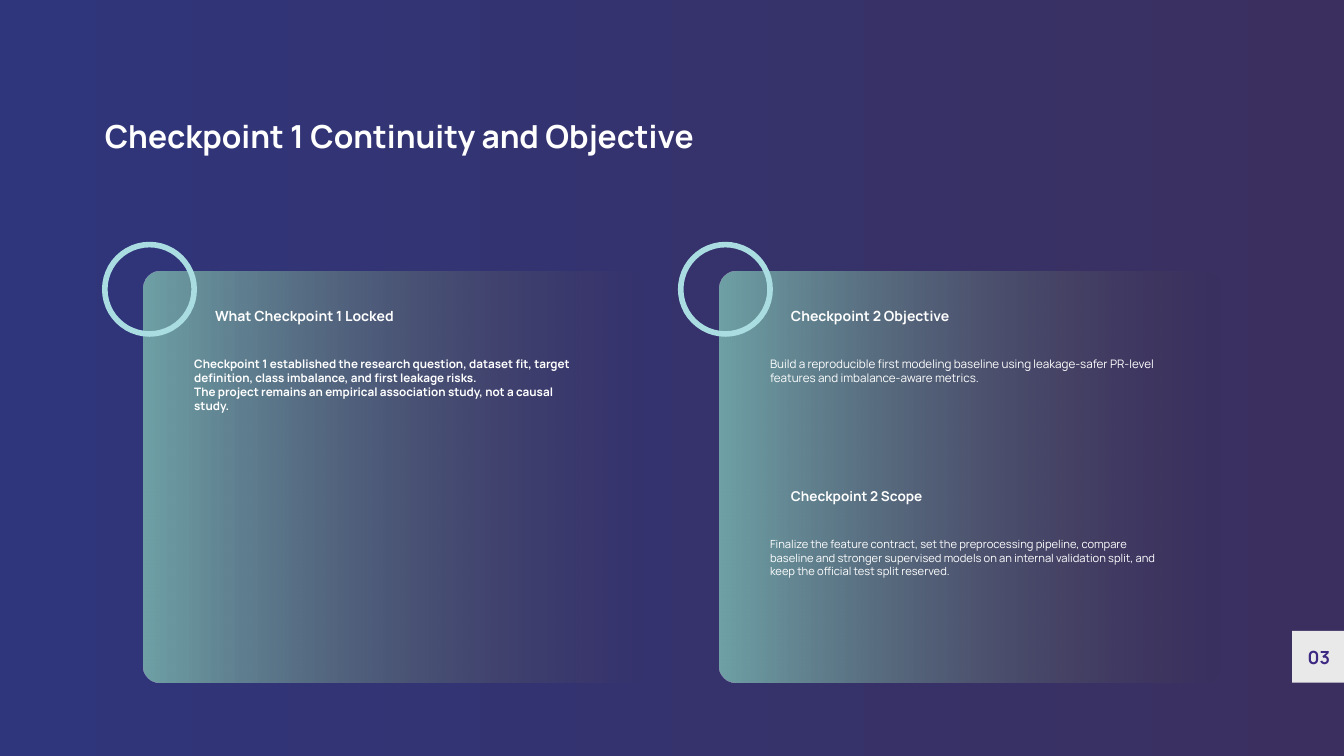
from pptx import Presentation
from pptx.dml.color import RGBColor
from pptx.enum import shapes, text
from pptx.oxml.ns import qn
from pptx.util import Inches, Pt
from lxml import etree

FONT = "Manrope"
WHITE, RING, TAG, INK = "FFFFFF", "A9DDE2", "E9E9E9", "3D2882"
BACK = ("2F367C", "3B2F5F")
CARD = ("6FA1A6", "5B534F")

# Content: each card holds sections of
# (top, heading, heading size, body size, body bold, body height, paragraphs)
TITLE = "Checkpoint 1 Continuity and Objective"
PAGE = "03"
CARDS = [
    [(4.57, "What Checkpoint 1 Locked", 15, 12.5, True, 4.36, [
        "Checkpoint 1 established the research question, dataset fit, target "
        "definition, class imbalance, and first leakage risks.",
        "The project remains an empirical association study, not a causal study.",
    ])],
    [(4.57, "Checkpoint 2 Objective", 15, 12.5, False, 1.61, [
        "Build a reproducible first modeling baseline using leakage-safer "
        "PR-level features and imbalance-aware metrics.",
    ]),
     (7.26, "Checkpoint 2 Scope", 14.5, 12, False, 1.61, [
         "Finalize the feature contract, set the preprocessing pipeline, compare "
         "baseline and stronger supervised models on an internal validation "
         "split, and keep the official test split reserved.",
     ])],
]
LEFT, STEP = 1.56, 8.57  # first ring's left edge, distance between cards


def rgb(code):
    return RGBColor.from_string(code)


def blend(fill, codes):
    fill.gradient()
    fill.gradient_angle = 0
    for stop, code, place in zip(fill.gradient_stops, codes, (0, 1)):
        stop.color.rgb = rgb(code)
        stop.position = place


def write(box, lines, size, color=WHITE, bold=True, pitch=None):
    frame = box.text_frame
    frame.word_wrap = True
    frame.auto_size = text.MSO_AUTO_SIZE.NONE
    frame.vertical_anchor = text.MSO_ANCHOR.TOP
    frame.margin_left = frame.margin_right = 0
    frame.margin_top = frame.margin_bottom = 0
    for i, line in enumerate(lines):
        para = frame.add_paragraph() if i else frame.paragraphs[0]
        para.alignment = text.PP_ALIGN.LEFT
        if pitch:
            para.line_spacing = Pt(pitch)
        run = para.add_run()
        run.text = line
        run.font.name, run.font.size, run.font.bold = FONT, Pt(size), bold
        run.font.color.rgb = rgb(color)


def label(slide, x, y, w, h, lines, size, **style):
    box = slide.shapes.add_textbox(Inches(x), Inches(y), Inches(w), Inches(h))
    write(box, lines, size, **style)


def shape(slide, kind, x, y, w, h):
    item = slide.shapes.add_shape(kind, Inches(x), Inches(y), Inches(w), Inches(h))
    item.shadow.inherit = False
    item.line.fill.background()
    return item


def card(slide, x, parts):
    # Panel fading out to the right
    panel = shape(slide, shapes.MSO_SHAPE.ROUNDED_RECTANGLE, x + 0.58, 4.04, 7.46, 6.12)
    panel.adjustments[0] = 0.04
    blend(panel.fill, CARD)
    last = panel._element.spPr.findall(".//" + qn("a:srgbClr"))[-1]
    etree.SubElement(last, qn("a:alpha")).set("val", "0")

    # Ring on the corner
    ring = shape(slide, shapes.MSO_SHAPE.OVAL, x, 3.64, 1.33, 1.33)
    ring.fill.background()
    ring.line.color.rgb = rgb(RING)
    ring.line.width = Pt(6)

    # Headings and their text
    for top, head, size, small, bold, high, lines in parts:
        label(slide, x + 1.64, top, 4.35, 0.45, [head], size)
        label(slide, x + 1.33, top + 0.74, 5.87, high, lines, small, bold=bold)


def main():
    deck = Presentation()
    deck.slide_width, deck.slide_height = Inches(20), Inches(11.25)
    slide = deck.slides.add_slide(deck.slide_layouts[5])
    blend(slide.background.fill, BACK)

    # Title
    title = slide.shapes.title
    title.left, title.top = Inches(LEFT), Inches(1.74)
    title.width, title.height = Inches(17.14), Inches(1.05)
    write(title, [TITLE], 34)

    # Cards
    for i, parts in enumerate(CARDS):
        card(slide, LEFT + i * STEP, parts)

    # Page number
    tag = shape(slide, shapes.MSO_SHAPE.RECTANGLE, 19.23, 9.39, 0.77, 0.77)
    tag.fill.solid()
    tag.fill.fore_color.rgb = rgb(TAG)
    label(slide, 19.46, 9.56, 0.42, 0.37, [PAGE], 19.4, color=INK, pitch=27.2)

    deck.save("out.pptx")


if __name__ == "__main__":
    main()
